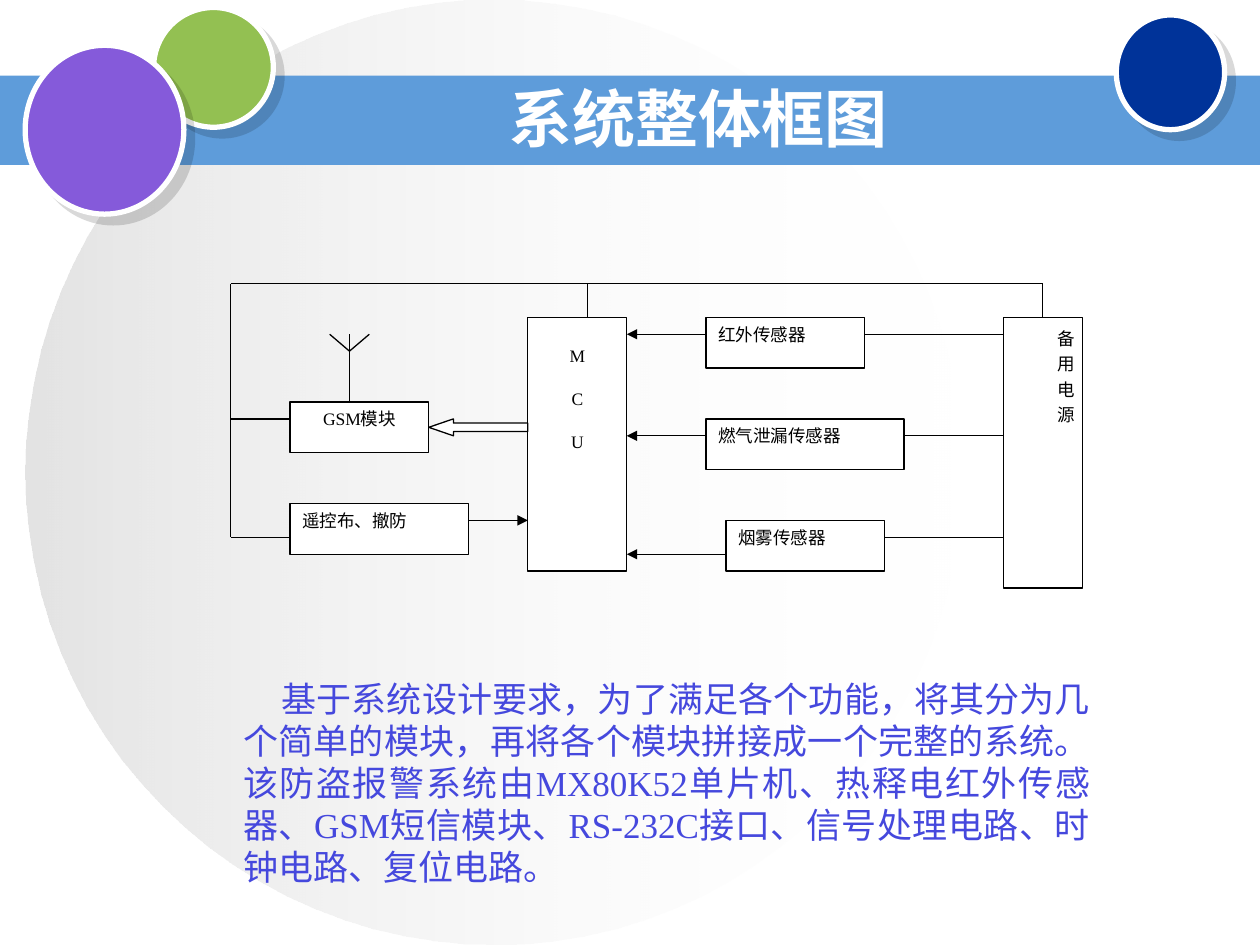
from dataclasses import dataclass

from lxml.etree import SubElement
from pptx import Presentation
from pptx.dml.color import RGBColor
from pptx.enum.shapes import MSO_CONNECTOR as Connector, MSO_SHAPE as Preset
from pptx.enum.text import MSO_ANCHOR as Anchor, MSO_AUTO_SIZE as AutoSize, PP_ALIGN as Align
from pptx.oxml.ns import qn
from pptx.util import Pt

WHITE = RGBColor(0xFF, 0xFF, 0xFF)
BLACK = RGBColor(0x00, 0x00, 0x00)
SILVER = RGBColor(0xC0, 0xC0, 0xC0)
BANNER_BLUE = RGBColor(0x5E, 0x9C, 0xDA)
GREEN = RGBColor(0x93, 0xC0, 0x52)
NAVY = RGBColor(0x00, 0x33, 0x99)
PURPLE = RGBColor(0x85, 0x5A, 0xDA)
BODY_BLUE = RGBColor(0x45, 0x48, 0xDD)

SERIF = "Times New Roman"
ORIGIN_X, ORIGIN_Y = 131.8, 162
COLUMN, ROW = 11.32, 9.67


@dataclass(frozen=True)
class Disc:
    left: float
    top: float
    width: float
    height: float
    color: RGBColor


@dataclass(frozen=True)
class Block:
    lines: tuple[str, ...]
    column: int
    row: int
    columns: int
    rows: int = 3
    align: Align = Align.JUSTIFY
    insets: tuple[float, float, float, float] = (7.2, 3.6, 7.2, 3.6)
    gap: float = 0
    tracking: int = 0
    vertical: bool = False


@dataclass(frozen=True)
class Wire:
    start: tuple[int, int]
    end: tuple[int, int]
    arrow: bool = False


DISCS = (
    Disc(87.8, 4.3, 68.4, 68.4, GREEN),
    Disc(637.9, 8.6, 61.9, 65.5, NAVY),
    Disc(14.4, 25.9, 90.7, 96.5, PURPLE),
)

POWER = Block(("备用电源",), 39, 2, 4, 16, Align.CENTER, (3.6, 7.2, 3.6, 7.2),
              tracking=460, vertical=True)
BLOCKS = (
    Block(("GSM模块",), 3, 7, 7, align=Align.CENTER),
    Block(("红外传感器",), 24, 2, 8),
    Block(("烟雾传感器",), 25, 14, 8),
    Block(("燃气泄漏传感器",), 24, 8, 10),
    Block(("M", "C", "U"), 15, 2, 5, 15, Align.CENTER, (7.2, 16, 7.2, 3.6), gap=12.5),
    Block(("遥控布、撤防",), 3, 13, 9),
)

WIRES = (
    Wire((39, 15), (33, 15)),
    Wire((39, 9), (34, 9)),
    Wire((39, 3), (32, 3)),
    Wire((41, 0), (0, 0)),
    Wire((0, 0), (0, 15)),
    Wire((0, 15), (3, 15)),
    Wire((0, 8), (3, 8)),
    Wire((18, 0), (18, 2)),
    Wire((12, 14), (15, 14), arrow=True),
    Wire((25, 16), (20, 16), arrow=True),
    Wire((24, 9), (20, 9), arrow=True),
    Wire((24, 3), (20, 3), arrow=True),
    Wire((6, 7), (6, 3)),
    Wire((6, 4), (7, 3)),
    Wire((6, 4), (5, 3)),
)

BODY = ("基于系统设计要求，为了满足各个功能，将其分为几个简单的模块，再将各个模块拼接成一个完整的系统。"
        "该防盗报警系统由MX80K52单片机、热释电红外传感器、GSM短信模块、RS-232C接口、信号处理电路、"
        "时钟电路、复位电路。")


def grid_x(column: float):
    return Pt(round(ORIGIN_X + column * COLUMN, 2))


def grid_y(row: float):
    return Pt(round(ORIGIN_Y + row * ROW, 2))


def write(frame, lines, *, size, color, font=SERIF, bold=False, align=Align.JUSTIFY,
          anchor=Anchor.TOP, insets=(7.2, 3.6, 7.2, 3.6), gap=0, indent=0, tracking=0):
    frame.word_wrap = True
    frame.auto_size = AutoSize.NONE
    frame.vertical_anchor = anchor
    frame.margin_left, frame.margin_top, frame.margin_right, frame.margin_bottom = map(Pt, insets)
    for index, line in enumerate(lines):
        paragraph = frame.paragraphs[0] if index == 0 else frame.add_paragraph()
        paragraph.alignment = align
        if index and gap:
            paragraph.space_before = Pt(gap)
        if indent:
            paragraph._p.get_or_add_pPr().set("indent", str(Pt(indent)))
        run = paragraph.add_run()
        run.text = line
        run.font.name = font
        run.font.size = Pt(size)
        run.font.bold = bold
        run.font.color.rgb = color
        if tracking:
            run.font._element.set("spc", str(tracking))


def add_plain(shapes, preset, left, top, width, height, fill, line=None, weight=0.75):
    shape = shapes.add_shape(preset, left, top, width, height)
    shape.shadow.inherit = False
    shape.fill.solid()
    shape.fill.fore_color.rgb = fill
    if line is None:
        shape.line.fill.background()
    else:
        shape.line.color.rgb = line
        shape.line.width = Pt(weight)
    return shape


def add_halo(shapes):
    halo = add_plain(shapes, Preset.OVAL, Pt(14.4), Pt(0), Pt(535.7), Pt(540), SILVER)
    halo.fill.gradient()
    halo.fill.gradient_angle = 0
    for stop, color, position, alpha in zip(halo.fill.gradient_stops, (SILVER, WHITE),
                                            (0, 1), ("44000", "0")):
        stop.color.rgb = color
        stop.position = position
        tone = stop._gs.find(qn("a:srgbClr"))
        SubElement(tone, qn("a:alpha"), val=alpha)


def add_disc(shapes, disc: Disc):
    oval = add_plain(shapes, Preset.OVAL, Pt(disc.left), Pt(disc.top), Pt(disc.width),
                     Pt(disc.height), disc.color, WHITE, 3)
    effects = oval._element.spPr.find(qn("a:effectLst"))
    shadow = SubElement(effects, qn("a:outerShdw"), dist=str(Pt(7.1)), dir="2700000",
                        algn="ctr", rotWithShape="0")
    tone = SubElement(shadow, qn("a:srgbClr"), val=str(BLACK))
    SubElement(tone, qn("a:alpha"), val="14000")


def add_block(shapes, block: Block):
    left, top = grid_x(block.column), grid_y(block.row)
    box = add_plain(shapes, Preset.RECTANGLE, left, top, grid_x(block.column + block.columns) - left,
                    grid_y(block.row + block.rows) - top, WHITE, BLACK)
    write(box.text_frame, block.lines, size=10, color=BLACK, align=block.align,
          insets=block.insets, gap=block.gap, tracking=block.tracking)
    if block.vertical:
        box.text_frame._txBody.bodyPr.set("vert", "eaVert")
    return box


def add_wire(shapes, wire: Wire):
    connector = shapes.add_connector(Connector.STRAIGHT, grid_x(wire.start[0]), grid_y(wire.start[1]),
                                     grid_x(wire.end[0]), grid_y(wire.end[1]))
    connector.line.color.rgb = BLACK
    connector.line.width = Pt(0.75)
    if wire.arrow:
        SubElement(connector.line._get_or_add_ln(), qn("a:tailEnd"), type="triangle")
    SubElement(connector._element.spPr, qn("a:effectLst"))
    return connector


def main():
    deck = Presentation()
    deck.slide_width, deck.slide_height = Pt(720), Pt(540)
    slide = deck.slides.add_slide(deck.slide_layouts[5])
    shapes = slide.shapes

    add_halo(shapes)
    add_plain(shapes, Preset.RECTANGLE, Pt(0), Pt(43.2), Pt(720), Pt(51.1), BANNER_BLUE)
    for disc in DISCS:
        add_disc(shapes, disc)

    title = shapes.title
    title.left, title.top, title.width, title.height = Pt(162), Pt(48.2), Pt(473.8), Pt(38.2)
    write(title.text_frame, ("系统整体框图",), size=36, color=WHITE, font="Arial", bold=True,
          align=Align.CENTER, anchor=Anchor.MIDDLE)
    shapes._spTree.append(title._element)

    summary = shapes.add_textbox(Pt(131.8), Pt(383.8), Pt(498.2), Pt(151.2))
    write(summary.text_frame, (BODY,), size=20, color=BODY_BLUE, indent=22)

    for block in BLOCKS:
        add_block(shapes, block)
    power_box = add_block(shapes, POWER)

    for wire in WIRES:
        add_wire(shapes, wire)
    power_feed = add_wire(shapes, Wire((41, 2), (41, 0)))
    power_feed.begin_connect(power_box, 0)

    gsm_link = add_plain(shapes, Preset.LEFT_ARROW, grid_x(10), grid_y(8), grid_x(15) - grid_x(10),
                         grid_y(9) - grid_y(8), WHITE, BLACK)
    gsm_link.adjustments[0] = 0.5
    gsm_link.adjustments[1] = 1.46

    deck.save("out.pptx")


if __name__ == "__main__":
    main()
